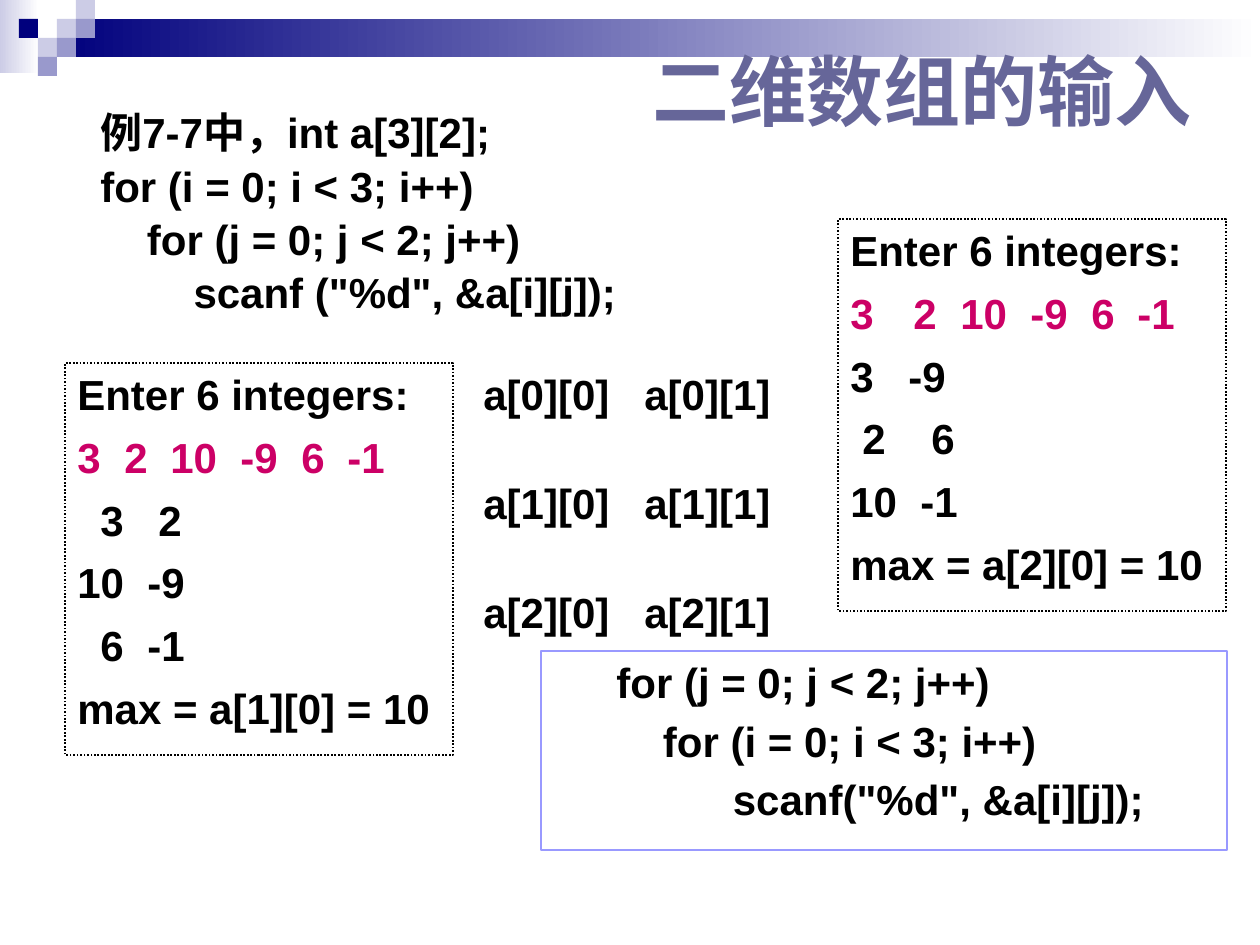
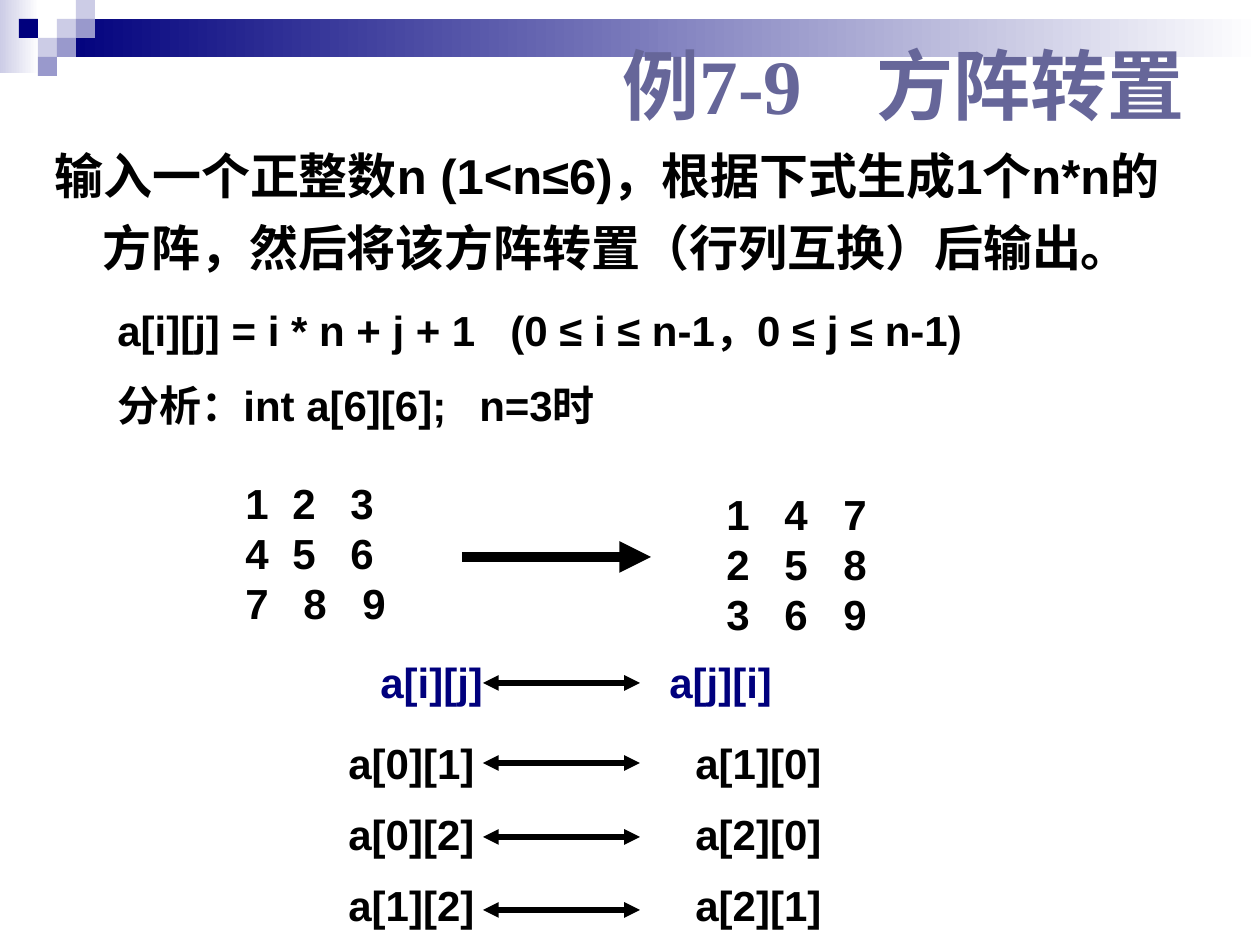
from lxml.etree import SubElement
from pptx import Presentation
from pptx.dml.color import RGBColor
from pptx.enum.dml import MSO_LINE
from pptx.enum.shapes import MSO_CONNECTOR, MSO_SHAPE
from pptx.enum.text import MSO_ANCHOR, MSO_AUTO_SIZE, PP_ALIGN
from pptx.oxml.ns import qn
from pptx.util import Pt

# Shared scale, colours and type
SCALE = 914400 / 126
WIDE, HIGH = 1260, 945
CELL = 19
LINE = 1.19  # line height as a share of the type size
NAVY = RGBColor(0x00, 0x00, 0x7D)
LILAC = RGBColor(0x99, 0x99, 0xCC)
PALE = RGBColor(0xCC, 0xCC, 0xE6)
WHITE = RGBColor(0xFF, 0xFF, 0xFF)
BLACK = RGBColor(0x00, 0x00, 0x00)
SLATE = RGBColor(0x66, 0x66, 0x99)
ROSE = RGBColor(0xCC, 0x00, 0x66)
FRAME = RGBColor(0x99, 0x99, 0xFF)


def px(n):
    return round(n * SCALE)


def place(at):
    return [px(n) for n in at]


def set_tabs(para, stops):
    """Give a paragraph left tab stops, measured from the text edge."""
    if stops:
        tabs = SubElement(para._p.get_or_add_pPr(), qn("a:tabLst"))
        for stop in stops:
            SubElement(tabs, qn("a:tab"), pos=str(px(stop)), algn="l")


def add_run(para, text, size, color, font="Arial"):
    run = para.add_run()
    run.text = text
    run.font.name = font
    run.font.size = Pt(size)
    run.font.bold = True
    run.font.color.rgb = color


# Background ornament and title
def tile(slide, at, color, fade=False):
    shape = slide.shapes.add_shape(MSO_SHAPE.RECTANGLE, *place(at))
    shape.shadow.inherit = False
    shape.line.fill.background()
    if fade:
        shape.fill.gradient()
        shape.fill.gradient_angle = 0
        for stop, tint in zip(shape.fill.gradient_stops, (color, WHITE)):
            stop.color.rgb = tint
    else:
        shape.fill.solid()
        shape.fill.fore_color.rgb = color


def header(slide):
    tile(slide, (0, 0, 39, 73), PALE, fade=True)
    tile(slide, (3 * CELL, CELL, WIDE - 3 * CELL, 2 * CELL), NAVY, fade=True)
    squares = [(3, 1, PALE), (4, 0, PALE), (4, 1, LILAC), (2, 2, PALE),
               (1, 1, NAVY), (3, 2, LILAC), (2, 3, LILAC)]
    for col, row, color in squares:
        tile(slide, (col * CELL, row * CELL, CELL, CELL), color)


def new_slide(deck, text, at, stops=()):
    slide = deck.slides.add_slide(deck.slide_layouts[5])
    header(slide)
    title = slide.shapes.title
    slide.shapes.element.append(title.element)  # bring above the band
    title.left, title.top, title.width, title.height = place(at)
    frame = title.text_frame
    frame.word_wrap = True
    frame.auto_size = MSO_AUTO_SIZE.NONE
    frame.vertical_anchor = MSO_ANCHOR.MIDDLE
    para = frame.paragraphs[0]
    set_tabs(para, stops)
    para.alignment = PP_ALIGN.LEFT
    add_run(para, text, 44, SLATE, "Times New Roman")
    return slide


# Text blocks: each row is (text, tab stops, colour)
def row(text, *stops, color=BLACK):
    return text, stops, color


def block(slide, at, rows, gap=0.0, size=24, lead=1.0, inset=0, hang=0,
          edge=None, dots=False):
    if edge is None:
        shape = slide.shapes.add_textbox(*place(at))
    else:
        shape = slide.shapes.add_shape(MSO_SHAPE.RECTANGLE, *place(at))
        shape.shadow.inherit = False
        shape.fill.background()
        shape.line.color.rgb = edge
        shape.line.width = Pt(1)
        if dots:
            shape.line.dash_style = MSO_LINE.ROUND_DOT
    frame = shape.text_frame
    frame.word_wrap = True
    frame.vertical_anchor = MSO_ANCHOR.TOP
    for i, (text, stops, color) in enumerate(rows):
        para = frame.add_paragraph() if i else frame.paragraphs[0]
        set_tabs(para, stops)
        para.alignment = PP_ALIGN.LEFT
        para.line_spacing = Pt(round(size * LINE * lead, 1))
        if i:
            para.space_before = Pt(size * gap)
        if inset:
            props = para._p.get_or_add_pPr()
            props.set("marL", str(px(inset)))
            props.set("indent", str(px(-hang)))
        add_run(para, text, size, color)


def arrow(slide, left, right, y, weight, both=True):
    link = slide.shapes.add_connector(
        MSO_CONNECTOR.STRAIGHT, *place((left, y, right, y)))
    link.line.color.rgb = BLACK
    link.line.width = Pt(weight)
    line = link.line._get_or_add_ln()
    if both:
        SubElement(line, qn("a:headEnd"), type="triangle")
    SubElement(line, qn("a:tailEnd"), type="triangle")
    SubElement(link._element.spPr, qn("a:effectLst"))


def input_slide(deck):
    slide = new_slide(deck, "二维数组的输入", (640, 45, 577, 90))

    # Row-first loop
    block(slide, (25, 106, 630, 220), [
        row("例7-7中，int a[3][2];"),
        row("for (i = 0; i < 3; i++)"),
        row("    for (j = 0; j < 2; j++)"),
        row("        scanf (\"%d\", &a[i][j]);"),
    ], gap=0.2, lead=0.9, inset=63)

    # Element names
    block(slide, (471, 363, 343, 280),
          [row(f"a[{i}][0]\ta[{i}][1]", 161) for i in range(3)], gap=1.4)

    # Column-first loop
    block(slide, (541, 651, 686, 199), [
        row("for (j = 0; j < 2; j++)"),
        row("    for (i = 0; i < 3; i++)"),
        row("          scanf(\"%d\", &a[i][j]);"),
    ], gap=0.2, inset=63, edge=FRAME)

    # Output of each loop
    entry = "3\t2\t10\t-9\t6\t-1"
    left = [
        row(entry, 47, 93, 163, 224, 270, color=ROSE),
        row("\t3\t2", 23, 81),
        row("10\t-9", 70),
        row("\t6\t-1", 23, 70),
        row("max = a[1][0] = 10"),
    ]
    right = [
        row(entry, 63, 110, 180, 241, 287, color=ROSE),
        row("3\t-9", 58),
        row("\t2\t6", 12, 81),
        row("10\t-1", 70),
        row("max = a[2][0] = 10"),
    ]
    for x, y, rows in ((65, 363, left), (838, 219, right)):
        block(slide, (x, y, 388, 392), [row("Enter 6 integers:")] + rows,
              gap=0.3, edge=BLACK, dots=True)


def swap_slide(deck):
    slide = new_slide(deck, "例7-9\t方阵转置", (610, 26, 620, 116), (254,))

    # Task and analysis
    block(slide, (42, 126, 1173, 160), [
        row("输入一个正整数n (1<n≤6)，根据下式生成1个n*n的方阵，"
            "然后将该方阵转置（行列互换）后输出。"),
    ], size=28, lead=1.24, inset=48, hang=48)
    block(slide, (105, 287, 1110, 155), [
        row("a[i][j] = i * n + j + 1\t(0 ≤ i ≤ n-1，0 ≤ j ≤ n-1)", 393),
        row("分析：int a[6][6];\tn=3时", 362),
    ], gap=0.3, lead=1.24)

    # Matrix and its transpose
    block(slide, (233, 472, 198, 165), [
        row("1\t2\t3", 47, 105),
        row("4\t5\t6", 47, 105),
        row("7\t8\t9", 58, 117),
    ])
    arrow(slide, 462, 651, 557, 6, both=False)
    block(slide, (714, 483, 273, 165),
          [row(f"{n}\t{n + 3}\t{n + 6}", 58, 117) for n in (1, 2, 3)])

    # Swapped elements
    block(slide, (336, 732, 599, 213),
          [row(f"a[{i}][{j}]\ta[{j}][{i}]", 347)
           for i, j in ((0, 1), (0, 2), (1, 2))], gap=0.5)
    block(slide, (368, 651, 420, 63),
          [row("a[i][j]\ta[j][i]", 289, color=NAVY)])
    for y in (683, 763, 837, 910):
        arrow(slide, 483, 640, y, 3)


def main():
    deck = Presentation()
    deck.slide_width, deck.slide_height = px(WIDE), px(HIGH)
    input_slide(deck)
    swap_slide(deck)
    deck.save("out.pptx")


if __name__ == "__main__":
    main()
